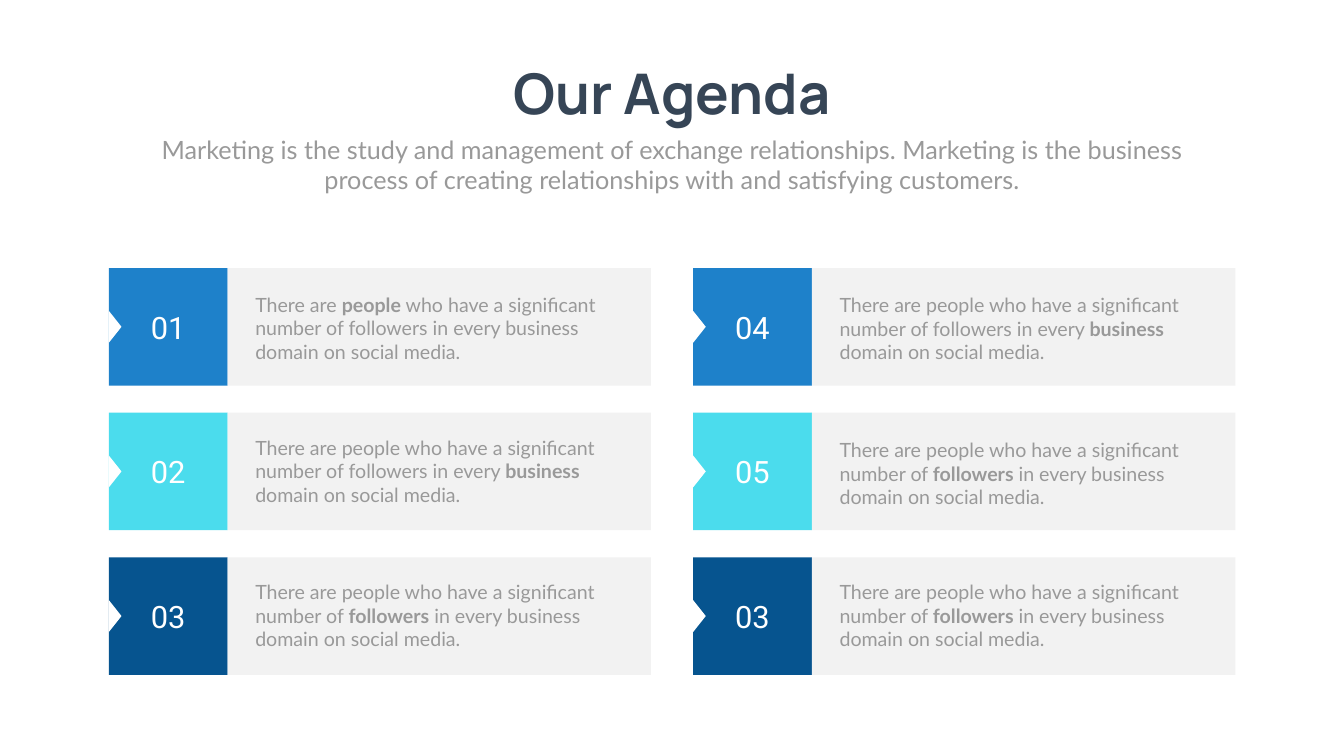
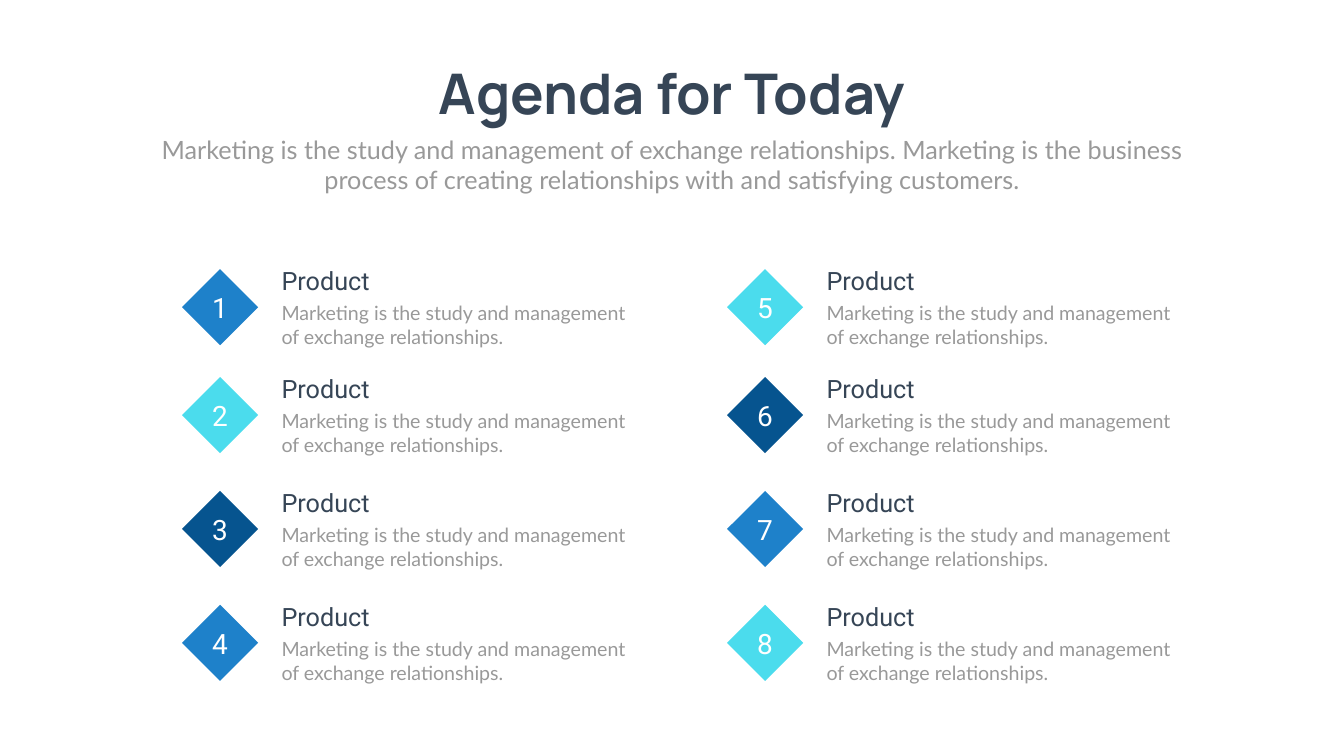
"""Build two agenda slides: numbered cards and a product list."""
from itertools import cycle

from pptx import Presentation
from pptx.dml.color import RGBColor
from pptx.enum.shapes import MSO_SHAPE as Shape
from pptx.enum.text import MSO_ANCHOR as Anchor, MSO_AUTO_SIZE as AutoSize, PP_ALIGN as Align
from pptx.util import Pt

SLIDE_WIDTH, SLIDE_HEIGHT = 1919.5, 1080
BLUE, CYAN, NAVY = "1E81CA", "4BDCED", "06548F"
WHITE, PANEL, INK, GREY = "FFFFFF", "F2F2F2", "364556", "999999"

TITLE = {"name": "Manrope", "size": Pt(80), "bold": True, "color": INK}
SUBTITLE = {"name": "Lato", "size": Pt(36), "color": GREY}
BODY = {"name": "Lato", "size": Pt(28), "color": GREY}
PRODUCT = {"name": "Roboto", "size": Pt(36), "color": INK}
CARD_NUMBER = {"name": "Roboto", "size": Pt(44), "color": WHITE}
DIAMOND_NUMBER = {"name": "Roboto", "size": Pt(40), "color": WHITE}

INTRO = ("Marketing is the study and management of exchange relationships. "
         "Marketing is the business process of creating relationships with "
         "and satisfying customers.")
PRODUCT_NOTE = "Marketing is the study and management of exchange relationships."

PEOPLE = ("There are *people* who have a significant number of followers "
          "in every business domain on social media.")
BUSINESS = ("There are people who have a significant number of followers "
            "in every *business* domain on social media.")
FOLLOWERS = ("There are people who have a significant number of *followers* "
             "in every business domain on social media.")

# number, note, note's distance below the top of its card
CARD_COLUMNS = [
    (155.5, [("01", PEOPLE, 31.7), ("02", BUSINESS, 29.5), ("03", FOLLOWERS, 29)]),
    (990, [("04", BUSINESS, 32.4), ("05", FOLLOWERS, 32.4), ("03", FOLLOWERS, 29)]),
]
CARD_COLORS = [BLUE, CYAN, NAVY]
CARD_TOP, CARD_PITCH, CARD_HEIGHT = 383, 206.6, 167.8
BADGE_WIDTH, PANEL_WIDTH = 169.5, 604.8
NOTCH_WIDTH, NOTCH_HEIGHT = 45.4, 18
NOTE_INDENT, NOTE_WIDTH, NOTE_HEIGHT = 202, 537.8, 108.7

PRODUCT_COLUMNS = [(260, ["1", "2", "3", "4"]), (1038.4, ["5", "6", "7", "8"])]
PRODUCT_TOPS = [384.5, 538.6, 701.3, 864]
DIAMOND_SIZE = 108.7
PRODUCT_INDENT = 135


def color(hex_string):
    """Turn a hex string into a colour."""
    return RGBColor.from_string(hex_string)


def write(frame, text, style, align):
    """Fill a frame with one paragraph, with *starred* words in bold."""
    paragraph = frame.paragraphs[0]
    paragraph.alignment = align
    for index, part in enumerate(text.split("*")):
        run = paragraph.add_run()
        run.text = part
        for key, value in style.items():
            if key == "color":
                run.font.color.rgb = color(value)
            else:
                setattr(run.font, key, value)
        if index % 2:
            run.font.bold = True


def add_text(shapes, box, text, style, align=Align.LEFT, wrap=True):
    """Add a text box."""
    frame = shapes.add_textbox(*map(Pt, box)).text_frame
    frame.word_wrap = wrap
    frame.auto_size = AutoSize.SHAPE_TO_FIT_TEXT
    write(frame, text, style, align)


def add_figure(shapes, kind, box, fill, text=None, style=None):
    """Add a flat filled shape, with centred text if given."""
    figure = shapes.add_shape(kind, *map(Pt, box))
    figure.shadow.inherit = False
    figure.fill.solid()
    figure.fill.fore_color.rgb = color(fill)
    figure.line.fill.background()
    if text:
        figure.text_frame.vertical_anchor = Anchor.MIDDLE
        write(figure.text_frame, text, style, Align.CENTER)
    return figure


def add_slide(deck, title, title_width):
    """Add a white slide with its title and intro, and return its shapes."""
    slide = deck.slides.add_slide(deck.slide_layouts[6])
    slide.background.fill.solid()
    slide.background.fill.fore_color.rgb = color(WHITE)
    title_left = (SLIDE_WIDTH - title_width) / 2
    add_text(slide.shapes, (title_left, 80.6, title_width, 104.4), title, TITLE,
             Align.CENTER, wrap=False)
    add_text(slide.shapes, (210.2, 188, 1499, 94.3), INTRO, SUBTITLE, Align.CENTER)
    return slide.shapes


def add_card(shapes, left, top, fill, number, note, note_drop):
    """Add a numbered badge with a notch, its panel and its note."""
    add_figure(shapes, Shape.RECTANGLE, (left, top, BADGE_WIDTH, CARD_HEIGHT), fill,
               number, CARD_NUMBER)
    add_figure(shapes, Shape.RECTANGLE,
               (left + BADGE_WIDTH, top, PANEL_WIDTH, CARD_HEIGHT), PANEL)
    notch_left = left + (NOTCH_HEIGHT - NOTCH_WIDTH) / 2
    notch_top = top + (CARD_HEIGHT - NOTCH_HEIGHT) / 2
    notch = add_figure(shapes, Shape.ISOSCELES_TRIANGLE,
                       (notch_left, notch_top, NOTCH_WIDTH, NOTCH_HEIGHT), WHITE)
    notch.rotation = 90
    add_text(shapes, (left + NOTE_INDENT, top + note_drop, NOTE_WIDTH, NOTE_HEIGHT),
             note, BODY)


def add_product(shapes, left, top, fill, number):
    """Add a numbered diamond with a grouped product name and note."""
    add_figure(shapes, Shape.DIAMOND, (left, top, DIAMOND_SIZE, DIAMOND_SIZE), fill,
               number, DIAMOND_NUMBER)
    caption = shapes.add_group_shape().shapes
    caption_left = left + PRODUCT_INDENT
    add_text(caption, (caption_left, top - 8.6, 283, 51), "Product", PRODUCT)
    add_text(caption, (caption_left, top + 42.5, 517.7, 75), PRODUCT_NOTE, BODY)


def main():
    """Build and save the deck."""
    deck = Presentation()
    deck.slide_width, deck.slide_height = Pt(SLIDE_WIDTH), Pt(SLIDE_HEIGHT)

    agenda = add_slide(deck, "Our Agenda", 512)
    for left, cards in CARD_COLUMNS:
        for row, (fill, card) in enumerate(zip(CARD_COLORS, cards)):
            add_card(agenda, left, CARD_TOP + row * CARD_PITCH, fill, *card)

    today = add_slide(deck, "Agenda for Today", 750)
    fills = cycle(CARD_COLORS)
    for left, numbers in PRODUCT_COLUMNS:
        for top, number in zip(PRODUCT_TOPS, numbers):
            add_product(today, left, top, next(fills), number)

    deck.save("out.pptx")


if __name__ == "__main__":
    main()
